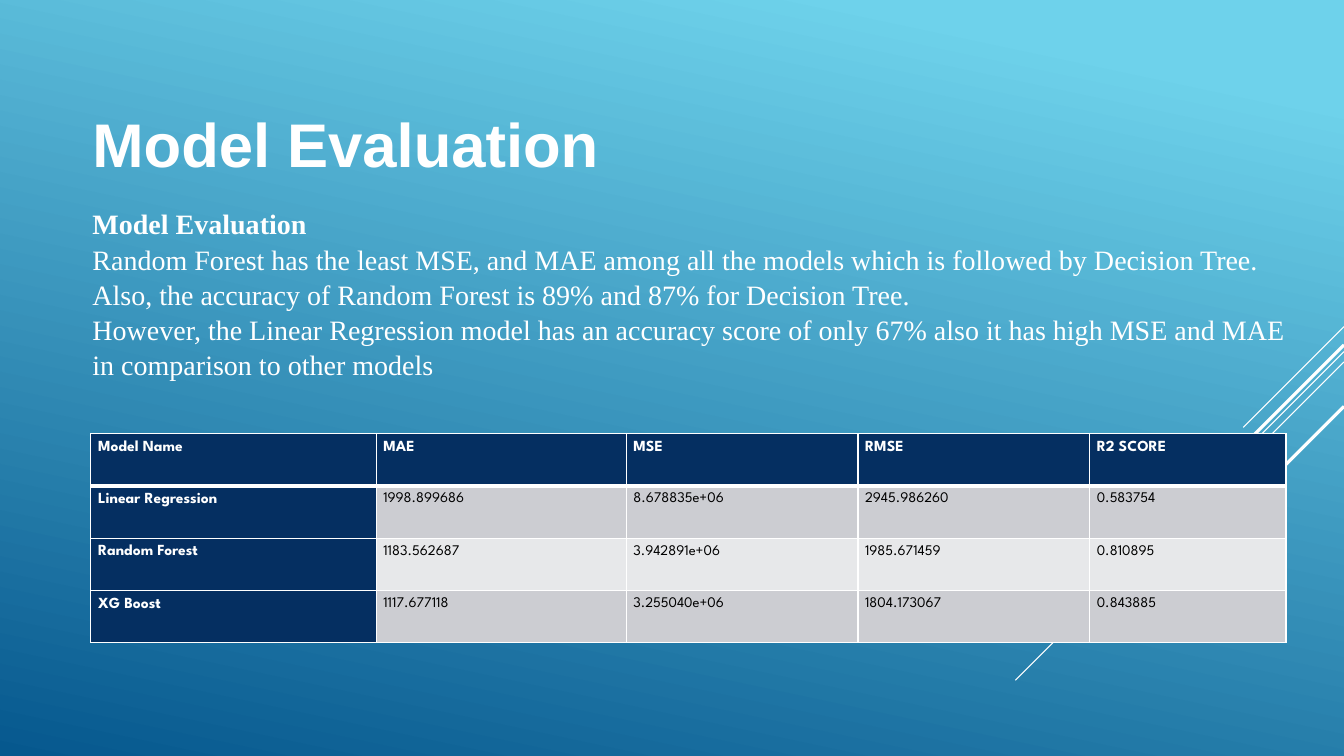
import pptx
import pptx.dml.color
import pptx.enum.shapes
import pptx.enum.text
import pptx.oxml
import pptx.oxml.ns
import pptx.util
from pptx.util import Cm

SLIDE_WIDTH, SLIDE_HEIGHT = 33.87, 19.05
WHITE, BLACK, NAVY = "FFFFFF", "000000", "052F61"
BANDS = ["CCCDD2", "E7E8EA"]
BACKGROUND = [(0.1, "6ED2EB"), (1, "06588E")]

TITLE = "Model Evaluation"
BODY = [
    ("Model Evaluation", True),
    ("Random Forest has the least MSE, and MAE among all the models which is followed by "
     "Decision Tree. Also, the accuracy of Random Forest is 89% and 87% for Decision Tree.", False),
    ("However, the Linear Regression model has an accuracy score of only 67% also it has "
     "high MSE and MAE in comparison to other models", False),
]
ROWS = [
    ["Model Name", "MAE", "MSE", "RMSE", "R2 SCORE"],
    ["Linear Regression", "1998.899686", "8.678835e+06", "2945.986260", "0.583754"],
    ["Random Forest", "1183.562687", "3.942891e+06", "1985.671459", "0.810895"],
    ["XG Boost", "1117.677118", "3.255040e+06", "1804.173067", "0.843885"],
]
COLUMN_WIDTHS = [7.19, 6.3, 5.84, 5.84, 4.95]
ROW_HEIGHT = 1.32
DIAGONALS = [(8.23, 2.54, 0.75), (8.86, 8.28, 0.75), (9.12, 5.26, 0.75),
             (8.69, 4.85, 2.25), (10.24, 3.53, 2.25)]


def color(value):
    return pptx.dml.color.RGBColor.from_string(value)


def style(paragraph, name, size, value, bold):
    font = paragraph.font
    font.name, font.size, font.bold = name, pptx.util.Pt(size), bold
    font.color.rgb = color(value)


def add_text(slide, box, lines, name, size, spacing, top_inset):
    frame = slide.shapes.add_textbox(*map(Cm, box)).text_frame
    frame.word_wrap = True
    frame.vertical_anchor = pptx.enum.text.MSO_ANCHOR.MIDDLE
    frame.margin_top = Cm(top_inset)
    for index, (text, bold) in enumerate(lines):
        paragraph = frame.add_paragraph() if index else frame.paragraphs[0]
        paragraph.text = text
        paragraph.line_spacing = spacing
        style(paragraph, name, size, WHITE, bold)


def add_border(cell, side, points):
    cell._tc.get_or_add_tcPr().append(pptx.oxml.parse_xml(
        f'<a:ln{side} {pptx.oxml.ns.nsdecls("a")} w="{points * 12700}">'
        f'<a:solidFill><a:srgbClr val="{WHITE}"/></a:solidFill></a:ln{side}>'))


def add_diagonal(slide, top, length, width):
    line = slide.shapes.add_connector(
        pptx.enum.shapes.MSO_CONNECTOR.STRAIGHT,
        Cm(SLIDE_WIDTH), Cm(top), Cm(SLIDE_WIDTH - length), Cm(top + length))
    line.line.color.rgb = color(WHITE)
    line.line.width = pptx.util.Pt(width)
    line._element.spPr.append(pptx.oxml.parse_xml(
        f'<a:effectLst {pptx.oxml.ns.nsdecls("a")}/>'))


def fill_cell(cell, text, row, column):
    heading = row == 0 or column == 0
    for side in "LRTB":
        under_header = (row, side) in [(0, "B"), (1, "T")]
        add_border(cell, side, 3 if under_header else 1)
    cell.fill.solid()
    cell.fill.fore_color.rgb = color(NAVY if heading else BANDS[(row - 1) % 2])
    cell.margin_left = cell.margin_right = Cm(0.18)
    cell.margin_top = cell.margin_bottom = 0
    paragraph = cell.text_frame.paragraphs[0]
    paragraph.text = text
    paragraph.alignment = pptx.enum.text.PP_ALIGN.JUSTIFY
    paragraph.line_spacing = 1.5
    paragraph.space_before = pptx.util.Pt(2)
    style(paragraph, "League Spartan", 11 if heading else 10.5,
          WHITE if heading else BLACK, heading)


def add_scores(slide):
    table = slide.shapes.add_table(
        len(ROWS), len(COLUMN_WIDTHS), Cm(2.29), Cm(10.92),
        Cm(sum(COLUMN_WIDTHS)), Cm(ROW_HEIGHT * len(ROWS))).table
    for column, width in zip(table.columns, COLUMN_WIDTHS):
        column.width = Cm(width)
    for row, texts in enumerate(ROWS):
        table.rows[row].height = Cm(ROW_HEIGHT)
        for column, text in enumerate(texts):
            fill_cell(table.cell(row, column), text, row, column)


def main():
    presentation = pptx.Presentation()
    presentation.slide_width = Cm(SLIDE_WIDTH)
    presentation.slide_height = Cm(SLIDE_HEIGHT)
    slide = presentation.slides.add_slide(presentation.slide_layouts[6])
    fill = slide.background.fill
    fill.gradient()
    fill.gradient_angle = 258
    for stop, (position, value) in zip(fill.gradient_stops, BACKGROUND):
        stop.position = position
        stop.color.rgb = color(value)
    for diagonal in DIAGONALS:
        add_diagonal(slide, *diagonal)
    add_text(slide, (2.08, 1.5, 23.7, 4.19), [(TITLE, True)], "Arial", 44, 1, 0.13)
    add_text(slide, (2.08, 5.18, 30.99, 4.47), BODY, "Times New Roman", 20, 1.05, 0.08)
    add_scores(slide)
    presentation.save("out.pptx")


if __name__ == "__main__":
    main()
